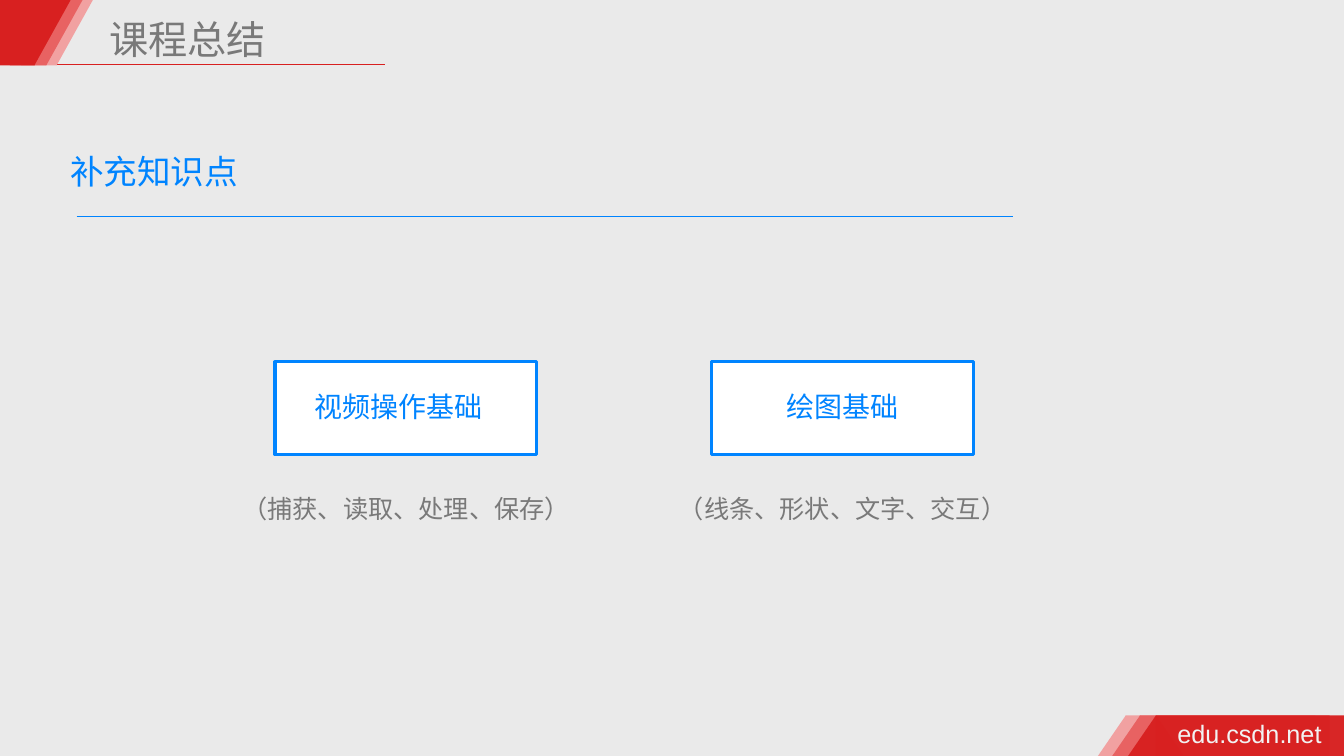
"""Build the course summary slide with two extra topics."""
from dataclasses import dataclass

import lxml.etree
import pptx
import pptx.dml.color
import pptx.enum.shapes
import pptx.enum.text
import pptx.oxml.ns
import pptx.util

Cm = pptx.util.Cm
Pt = pptx.util.Pt
Kind = pptx.enum.shapes.MSO_SHAPE
Align = pptx.enum.text.PP_ALIGN
Anchor = pptx.enum.text.MSO_ANCHOR
Fit = pptx.enum.text.MSO_AUTO_SIZE
qn = pptx.oxml.ns.qn

HUES = {
    "back": "EAEAEA", "red": "D82020", "rose": "E86262", "pink": "F1A1A1",
    "blue": "0084FF", "grey": "797979", "white": "FFFFFF", "pale": "F2F2F2",
}
HAN = "Noto Sans CJK SC"
WIDE, HIGH = 33.87, 19.05
TIGHT = 0.13
STEP = 11.0


@dataclass
class Box:
    left: float
    top: float
    width: float
    height: float


@dataclass
class Label:
    text: str
    box: Box
    size: float
    hue: str
    font: str = HAN
    align: Align = Align.LEFT
    space: float = 1.0
    tight: bool = False
    wrap: bool = True
    grow: bool = True


@dataclass
class Stripe:
    hue: str
    foot: float
    head: float
    solid: int = 100


@dataclass
class Topic:
    name: str
    note: str
    align: Align


FOOTER = [Stripe("pink", 28.37, 27.67), Stripe("rose", 28.73, 28.03),
          Stripe("red", 29.13, 28.43, 97)]
HEADER = [Stripe("pink", 0.53, 0.51), Stripe("rose", 0.25, 0.25),
          Stripe("red", 0, -0.05)]
TOPICS = [Topic("视频操作基础", "（捕获、读取、处理、保存）", Align.LEFT),
          Topic("绘图基础", "（线条、形状、文字、交互）", Align.CENTER)]


def tint(name: str) -> pptx.dml.color.RGBColor:
    return pptx.dml.color.RGBColor.from_string(HUES[name])


def place(box: Box) -> tuple:
    return Cm(box.left), Cm(box.top), Cm(box.width), Cm(box.height)


def draw_shape(slide, kind: Kind, box: Box, hue: str, solid: int = 100):
    shape = slide.shapes.add_shape(kind, *place(box))
    shape.shadow.inherit = False
    shape.fill.solid()
    shape.fill.fore_color.rgb = tint(hue)
    shape.line.fill.background()
    if solid < 100:
        tone = shape.element.spPr.find(".//" + qn("a:srgbClr"))
        lxml.etree.SubElement(tone, qn("a:alpha"), val=str(solid * 1000))
    return shape


def draw_line(slide, left: float, right: float, top: float, hue: str) -> None:
    line = slide.shapes.add_connector(
        pptx.enum.shapes.MSO_CONNECTOR.STRAIGHT,
        Cm(left), Cm(top), Cm(right), Cm(top))
    line.line.color.rgb = tint(hue)
    line.line.width = Pt(1)
    lxml.etree.SubElement(line.element.spPr, qn("a:effectLst"))


def draw_label(slide, label: Label) -> None:
    frame = slide.shapes.add_textbox(*place(label.box)).text_frame
    frame.word_wrap = label.wrap
    if label.grow:
        frame.auto_size = Fit.SHAPE_TO_FIT_TEXT
    else:
        frame.vertical_anchor = Anchor.MIDDLE
    if label.tight:
        frame.margin_left = frame.margin_right = Cm(TIGHT)
        frame.margin_top = frame.margin_bottom = Cm(TIGHT)
    para = frame.paragraphs[0]
    para.alignment = label.align
    para.line_spacing = label.space
    run = para.add_run()
    run.text = label.text
    run.font.size = Pt(label.size)
    run.font.name = label.font
    run.font.color.rgb = tint(label.hue)
    lxml.etree.SubElement(run.font._element, qn("a:ea"), typeface=label.font)


def draw_footer(slide) -> None:
    top, height = 18.03, 1.02
    for item in FOOTER:
        width = min(4.78, WIDE - item.foot)
        draw_shape(slide, Kind.RECTANGLE, Box(item.foot, top, width, height),
                   item.hue, item.solid)
        draw_shape(slide, Kind.ISOSCELES_TRIANGLE,
                   Box(item.head, top, 1.4, height), item.hue, item.solid)
    draw_label(slide, Label("edu.csdn.net", Box(29.54, 17.98, 3.94, 1.02), 18,
                            "pale", "Arial", tight=True, wrap=False))


def draw_header(slide) -> None:
    width, height = 1.83, 1.65
    for item in HEADER:
        tip = item.head + width / 2
        draw_shape(slide, Kind.RECTANGLE,
                   Box(item.foot, 0, tip - item.foot, height), item.hue)
        wedge = draw_shape(slide, Kind.ISOSCELES_TRIANGLE,
                           Box(item.head, 0, width, height), item.hue)
        wedge.rotation = 180
    draw_label(slide, Label("课程总结", Box(2.62, 0.03, 7.85, 1.65), 28, "grey",
                            space=1.2, tight=True, grow=False))


def draw_topic(slide, topic: Topic, shift: float) -> None:
    frame = draw_shape(slide, Kind.RECTANGLE,
                       Box(6.93 + shift, 9.12, 6.6, 2.34), "white")
    frame.line.color.rgb = tint("blue")
    frame.line.width = Pt(2.25)
    draw_label(slide, Label(topic.name, Box(7.67 + shift, 9.7, 5.11, 1.12), 20,
                            "blue", align=topic.align))
    draw_label(slide, Label(topic.note, Box(5.94 + shift, 11.91, 8.59, 1.42),
                            18, "grey", align=Align.CENTER, space=1.5,
                            tight=True, wrap=False))


def main() -> None:
    deck = pptx.Presentation()
    deck.slide_width, deck.slide_height = Cm(WIDE), Cm(HIGH)
    slide = deck.slides.add_slide(deck.slide_layouts[6])
    slide.background.fill.solid()
    slide.background.fill.fore_color.rgb = tint("back")
    draw_line(slide, 1.24, 9.7, 1.63, "red")
    draw_footer(slide)
    draw_header(slide)
    draw_label(slide, Label("补充知识点", Box(1.52, 3.68, 24.79, 1.27), 24, "blue"))
    draw_line(slide, 1.93, 25.53, 5.46, "blue")
    for rank, topic in enumerate(TOPICS):
        draw_topic(slide, topic, rank * STEP)
    deck.save("out.pptx")


if __name__ == "__main__":
    main()
